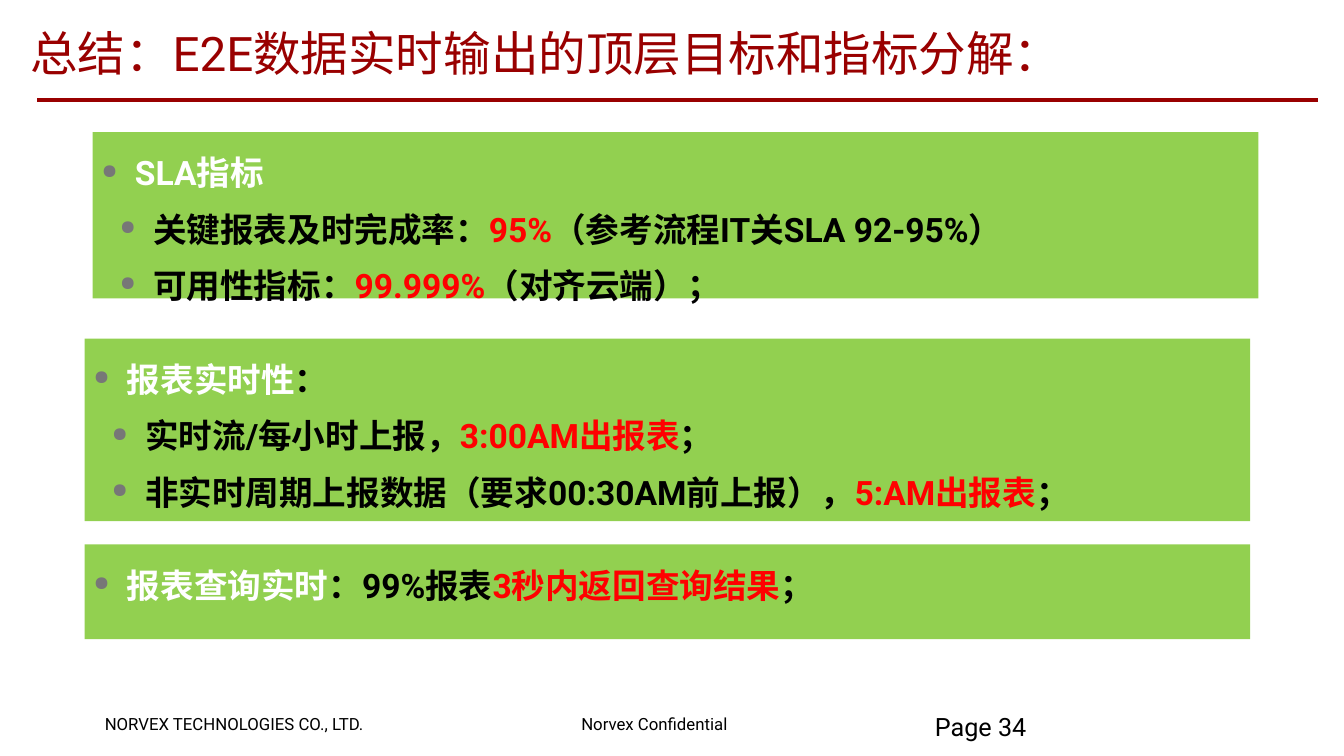
from dataclasses import dataclass

from lxml.etree import SubElement
from pptx import Presentation
from pptx.dml.color import RGBColor
from pptx.enum.shapes import MSO_CONNECTOR, MSO_SHAPE
from pptx.enum.text import MSO_ANCHOR, PP_ALIGN
from pptx.oxml.ns import qn
from pptx.util import Inches, Pt


@dataclass(frozen=True)
class Theme:
    font: str = "Roboto"
    dark_red: str = "990000"
    red: str = "FF0000"
    green: str = "92D050"
    gray: str = "777777"
    black: str = "000000"
    white: str = "FFFFFF"
    title_size: int = 34
    body_size: int = 24
    page_size: int = 18
    footer_size: int = 12


THEME = Theme()
COLUMNS, ROWS = 133.4, 75  # grid of square cells, 0.1 inch each
PANEL_WIDTH = 115.7
INSETS = (0.9, 0.4, 0.9, 0.4)


def grid(cells):
    return Inches(cells / 10)


def color(name):
    return RGBColor.from_string(getattr(THEME, name))


def format_frame(frame, insets=INSETS, wrap=True, anchor=MSO_ANCHOR.TOP):
    left, top, right, bottom = (grid(inset) for inset in insets)
    settings = {
        "margin_left": left, "margin_top": top, "margin_right": right,
        "margin_bottom": bottom, "word_wrap": wrap, "vertical_anchor": anchor,
    }
    for name, value in settings.items():
        setattr(frame, name, value)


def add_run(paragraph, text, size, color_name, bold=False):
    run = paragraph.add_run()
    run.text = text
    settings = {"name": THEME.font, "size": Pt(size), "bold": bold}
    for name, value in settings.items():
        setattr(run.font, name, value)
    run.font.color.rgb = color(color_name)


def add_bullet(paragraph, level):
    properties = paragraph._p.get_or_add_pPr()
    properties.set("marL", str(Inches(0.33 + 0.18 * level)))
    properties.set("indent", str(Inches(-0.33)))
    bullet_color = SubElement(properties, qn("a:buClr"))
    SubElement(bullet_color, qn("a:srgbClr"), val=THEME.gray)
    SubElement(properties, qn("a:buSzPct"), val="60000")
    SubElement(properties, qn("a:buChar"), char="●")


def add_text(slide, box, text, size, color_name, line_spacing=1.0, **frame_format):
    shape = slide.shapes.add_textbox(*(grid(cells) for cells in box))
    format_frame(shape.text_frame, **frame_format)
    paragraph = shape.text_frame.paragraphs[0]
    paragraph.line_spacing = line_spacing
    add_run(paragraph, text, size, color_name)


def add_rule(slide, left, right, row):
    rule = slide.shapes.add_connector(
        MSO_CONNECTOR.STRAIGHT, grid(left), grid(row), grid(right), grid(row))
    rule.line.color.rgb = color("dark_red")
    rule.line.width = Pt(3)
    SubElement(rule._element.spPr, qn("a:effectLst"))


def add_panel(slide, left, top, height, lines):
    """Draw a green panel; its first line is the heading, the rest are sub-points."""
    box = (left, top, PANEL_WIDTH, height)
    shape = slide.shapes.add_shape(MSO_SHAPE.RECTANGLE, *(grid(cells) for cells in box))
    shape.shadow.inherit = False
    shape.fill.solid()
    shape.fill.fore_color.rgb = color("green")
    shape.line.fill.background()
    frame = shape.text_frame
    format_frame(frame)
    for index, runs in enumerate(lines):
        paragraph = frame.add_paragraph() if index else frame.paragraphs[0]
        level = min(index, 1)
        add_bullet(paragraph, level)
        settings = {"level": level, "alignment": PP_ALIGN.LEFT, "line_spacing": 1.4}
        for name, value in settings.items():
            setattr(paragraph, name, value)
        for text, color_name in runs:
            add_run(paragraph, text, THEME.body_size, color_name, bold=True)


# Each panel: left column, top row, height in rows, lines of (text, colour)
PANELS = [
    (9.2, 13.1, 16.5, [
        [("SLA指标", "white")],
        [("关键报表及时完成率：", "black"), ("95%", "red"),
         ("（参考流程IT关SLA 92-95%）", "black")],
        [("可用性指标：", "black"), ("99.999%", "red"), ("（对齐云端）；", "black")],
    ]),
    (8.4, 33.6, 18.1, [
        [("报表实时性", "white"), ("：", "black")],
        [("实时流/每小时上报，", "black"), ("3:00AM出报表", "red"), ("；", "black")],
        [("非实时周期上报数据（要求00:30AM前上报），", "black"),
         ("5:AM出报表", "red"), ("；", "black")],
    ]),
    (8.4, 54, 9.4, [
        [("报表查询实时", "white"), ("：99%报表", "black"),
         ("3秒内返回查询结果", "red"), ("；", "black")],
    ]),
]

# Each footer: left column, width in columns, text
FOOTERS = [
    (9.5, 28.6, "NORVEX TECHNOLOGIES CO., LTD."),
    (56.8, 18, "Norvex Confidential"),
]


def main():
    presentation = Presentation()
    presentation.slide_width = grid(COLUMNS)
    presentation.slide_height = grid(ROWS)
    slide = presentation.slides.add_slide(presentation.slide_layouts[6])

    # Title and rule
    add_text(slide, (2.1, 0.5, 113, 9.5), "总结：E2E数据实时输出的顶层目标和指标分解：",
             THEME.title_size, "dark_red", anchor=MSO_ANCHOR.MIDDLE)
    add_rule(slide, 3.7, 130.8, 9.9)

    # Target panels
    for panel in PANELS:
        add_panel(slide, *panel)

    # Footer and page number
    for left, width, text in FOOTERS:
        add_text(slide, (left, 70.4, width, 2.9), text,
                 THEME.footer_size, "black", wrap=False)
    add_text(slide, (92.8, 71, 30.6, 5), "Page 34", THEME.page_size, "black",
             line_spacing=0.85, insets=(0, 0, 0, 0))

    presentation.save("out.pptx")


if __name__ == "__main__":
    main()
